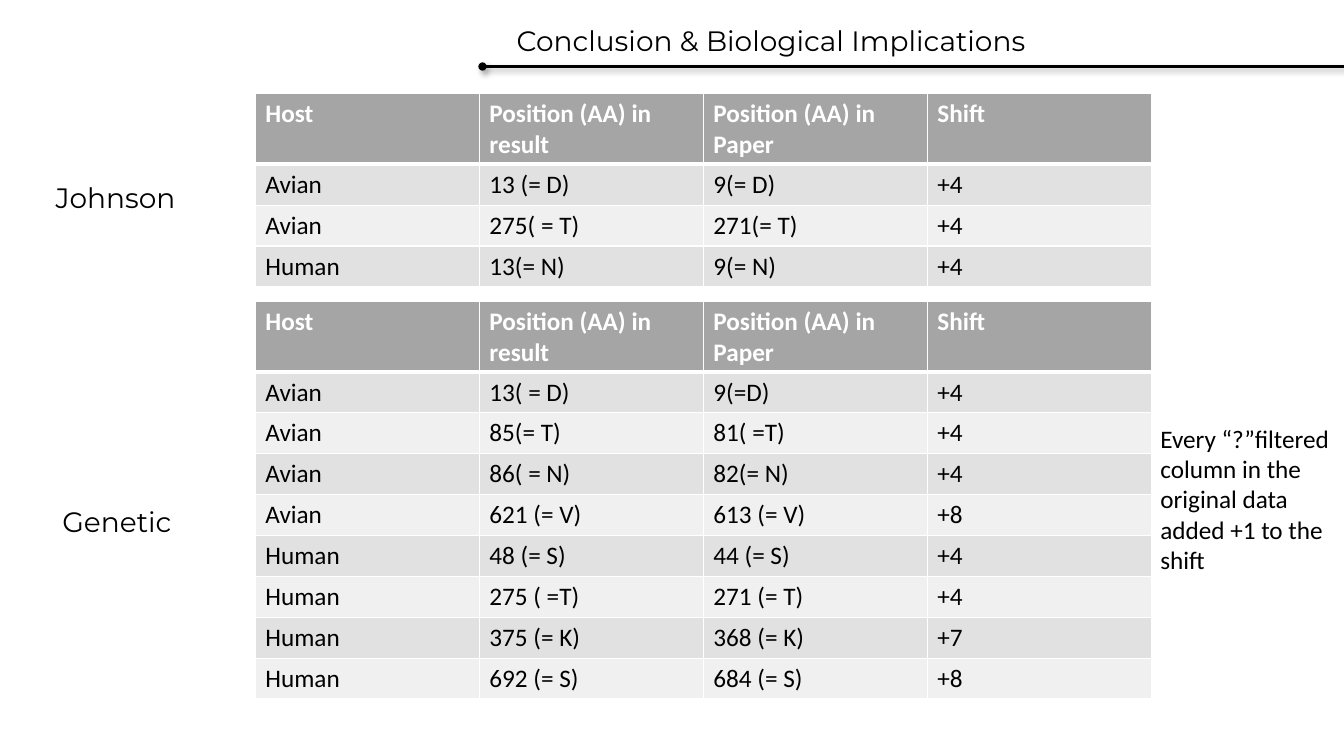
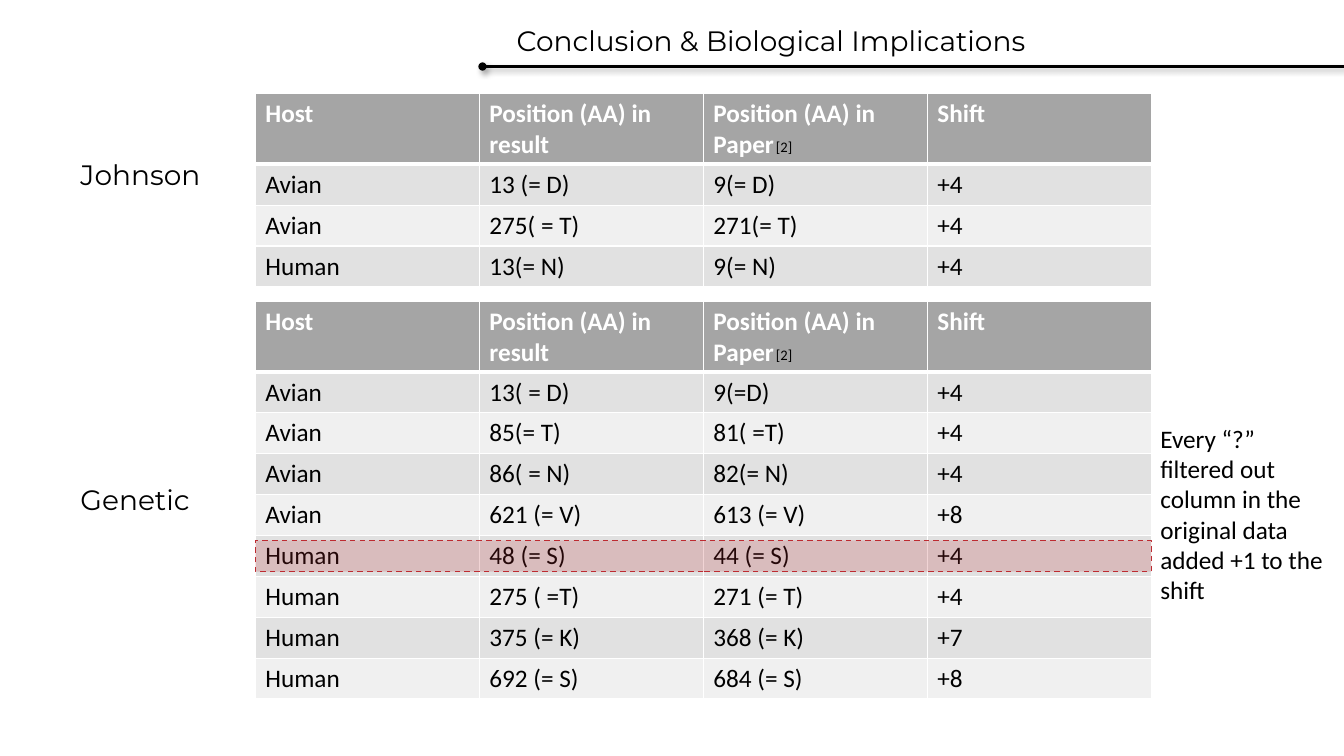
from lxml import etree
from pptx import Presentation
from pptx.dml.color import RGBColor
from pptx.enum.dml import MSO_LINE
from pptx.enum.shapes import MSO_CONNECTOR, MSO_SHAPE
from pptx.oxml import parse_xml
from pptx.oxml.ns import qn
from pptx.util import Inches, Pt

STRAIGHT = MSO_CONNECTOR.STRAIGHT
RECTANGLE = MSO_SHAPE.RECTANGLE
DASH = MSO_LINE.DASH

BLACK = RGBColor(0x00, 0x00, 0x00)
WHITE = RGBColor(0xFF, 0xFF, 0xFF)
HEADER = RGBColor(0xA5, 0xA5, 0xA5)
BANDS = [RGBColor(0xF0, 0xF0, 0xF0), RGBColor(0xE1, 0xE1, 0xE1)]
RED = RGBColor(0xBD, 0x2B, 0x31)

TITLE_FONT = "Montserrat"
BODY_FONT = "Calibri"
A_NS = 'xmlns:a="http://schemas.openxmlformats.org/drawingml/2006/main"'
SHADOW = (
    f'<a:effectLst {A_NS}><a:outerShdw blurRad="50800" dist="38100" dir="2700000" '
    'algn="tl" rotWithShape="0"><a:srgbClr val="000000"><a:alpha val="40000"/>'
    '</a:srgbClr></a:outerShdw></a:effectLst>'
)

prs = Presentation()
prs.slide_width = Inches(13.33)
prs.slide_height = Inches(7.5)
X = prs.slide_width / 100
Y = prs.slide_height / 100

COL = int(prs.slide_width / 6)
HEAD_ROW = Pt(50.4)
BODY_ROW = Pt(29.2)
TABLE_LEFT = int(19 * X)
TABLE_TOPS = [12.4, 39.87]

HEADINGS = ["Host", "Position (AA) in result", "Position (AA) in Paper", "Shift"]
JOHNSON = [
    ["Avian", "13 (= D)", "9(= D)", "+4"],
    ["Avian", "275( = T)", "271(= T)", "+4"],
    ["Human", "13(= N)", "9(= N)", "+4"],
]
GENETIC = [
    ["Avian", "13( = D)", "9(=D)", "+4"],
    ["Avian", "85(= T)", "81( =T)", "+4"],
    ["Avian", "86( = N)", "82(= N)", "+4"],
    ["Avian", "621 (= V)", "613 (= V)", "+8"],
    ["Human", "48 (= S)", "44 (= S)", "+4"],
    ["Human", "275 ( =T)", "271 (= T)", "+4"],
    ["Human", "375 (= K)", "368 (= K)", "+7"],
    ["Human", "692 (= S)", "684 (= S)", "+8"],
]
SLIDES = [
    {
        "labels": [("Johnson", 3.4, 23.2), ("Genetic", 3.9, 66.13)],
        "note": "Every “?”filtered column in the original data added +1 to the shift",
        "marked": False,
    },
    {
        "labels": [("Johnson", 5.25, 20.13), ("Genetic", 5.25, 63.2)],
        "note": "Every “?” filtered out column in the original data added +1 to the shift",
        "marked": True,
    },
]


def add_text(s, text, left, top, width, height, font, size):
    sp = s.shapes.add_textbox(int(left * X), int(top * Y), int(width * X), int(height * Y))
    tf = sp.text_frame
    tf.word_wrap = True
    tf.text = text
    r = tf.paragraphs[0].runs[0]
    r.font.name = font
    r.font.size = Pt(size)
    r.font.color.rgb = BLACK
    return r


def add_grid(s, top, rows):
    n = len(rows)
    tbl = s.shapes.add_table(
        n + 1, 4, TABLE_LEFT, int(top * Y), 4 * COL, HEAD_ROW + n * BODY_ROW
    ).table
    tbl.horz_banding = False
    for column in tbl.columns:
        column.width = COL
    for i, row in enumerate([HEADINGS] + rows):
        tbl.rows[i].height = BODY_ROW if i else HEAD_ROW
        for j, text in enumerate(row):
            cell = tbl.cell(i, j)
            tcPr = cell._tc.get_or_add_tcPr()
            for side in "LRTB":
                thick = (i, side) in [(0, "B"), (1, "T")]
                tcPr.append(parse_xml(
                    f'<a:ln{side} {A_NS} w="{Pt(3 if thick else 1)}"><a:solidFill>'
                    f'<a:srgbClr val="{WHITE}"/></a:solidFill></a:ln{side}>'
                ))
            cell.fill.solid()
            cell.fill.fore_color.rgb = BANDS[i % 2] if i else HEADER
            cell.text = text
            font = cell.text_frame.paragraphs[0].runs[0].font
            font.name = BODY_FONT
            font.size = Pt(18)
            font.bold = i == 0
            font.color.rgb = BLACK if i else WHITE


for content in SLIDES:
    s = prs.slides.add_slide(prs.slide_layouts[6])

    rule = s.shapes.add_connector(
        STRAIGHT, int(35.9 * X), int(8.8 * Y), prs.slide_width, int(8.8 * Y)
    )
    rule.line.color.rgb = BLACK
    rule.line.width = Pt(1.5)
    etree.SubElement(rule.line._get_or_add_ln(), qn("a:headEnd"), type="oval")
    rule._element.spPr.append(parse_xml(SHADOW))

    add_text(s, "Conclusion & Biological Implications", 37.7, 2.4, 58.4, 5.9, TITLE_FONT, 20)

    for label, left, top in content["labels"]:
        add_text(s, label, left, top, 11, 5.9, TITLE_FONT, 20)
    for top, rows in zip(TABLE_TOPS, [JOHNSON, GENETIC]):
        add_grid(s, top, rows)
    add_text(s, content["note"], 85.6, 55.33, 14.4, 25.6, BODY_FONT, 18)

    if content["marked"]:
        for top in TABLE_TOPS:
            r = add_text(s, "[2]", 57, top + 5.2, 4, 5.3, BODY_FONT, 18)
            r._r.get_or_add_rPr().set("baseline", "66000")

        sp = s.shapes.add_shape(
            RECTANGLE, TABLE_LEFT, int(71.47 * Y), 4 * COL, int(4.13 * Y)
        )
        sp.shadow.inherit = False
        sp.fill.solid()
        sp.fill.fore_color.rgb = RED
        color = sp._element.spPr.find(qn("a:solidFill"))[0]
        etree.SubElement(color, qn("a:alpha"), val="20000")
        sp.line.color.rgb = RED
        sp.line.width = Pt(1)
        sp.line.dash_style = DASH

prs.save("out.pptx")
